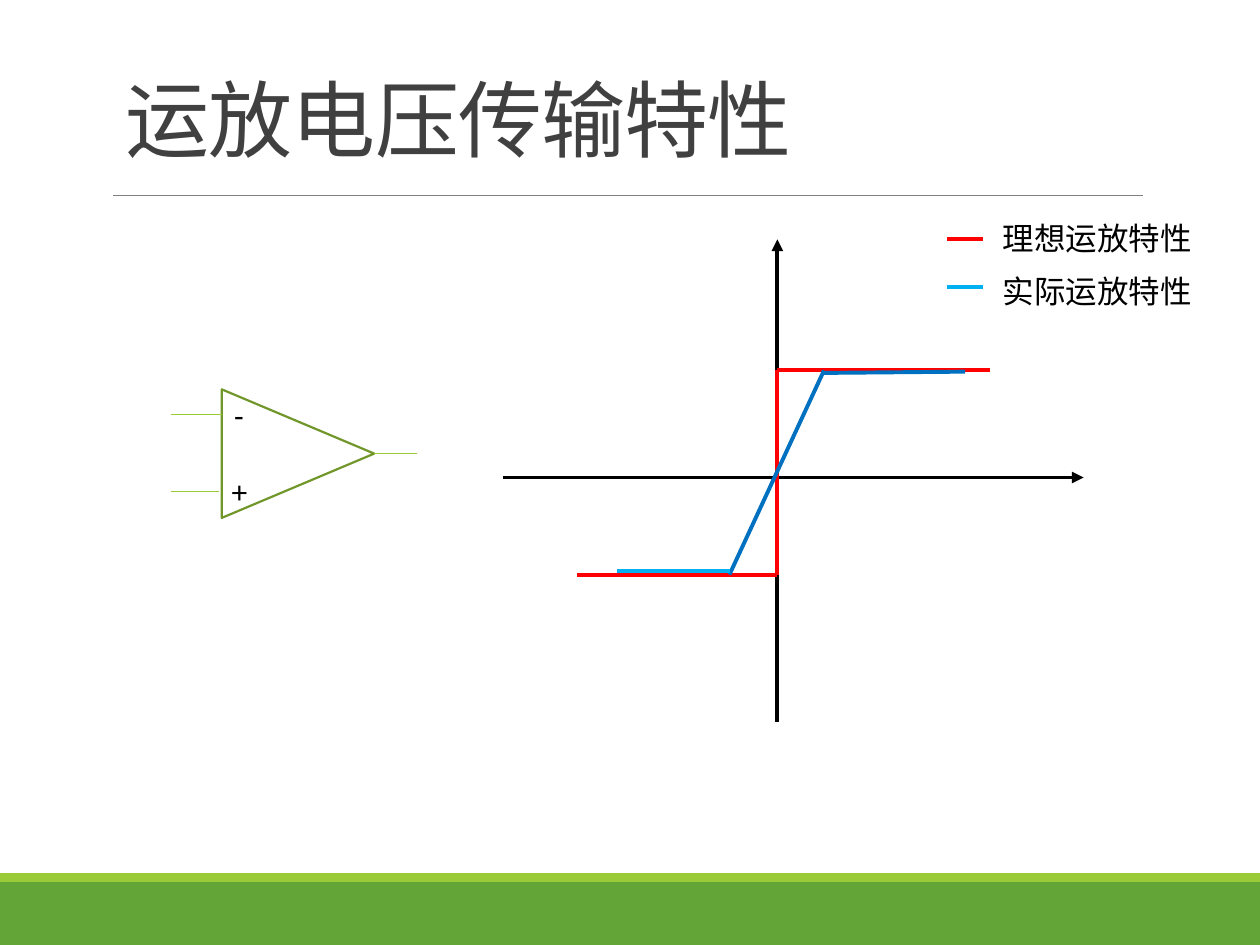
from lxml import etree
from pptx import Presentation
from pptx.dml.color import RGBColor
from pptx.enum import shapes, text
from pptx.oxml.ns import qn
from pptx.util import Inches, Pt

BLACK, RED, BLUE, SKY = "000000", "FF0000", "0070C0", "00B0F0"
GREEN, DARK_GREEN, LIME = "63A537", "719629", "99CB38"
LATIN, CHINESE = "Calibri", "Noto Sans CJK SC"


def color(value):
    return RGBColor.from_string(value)


def add_line(parts, start, end, line_color, width=2.25, arrow=False):
    ends = [Inches(value) for value in (*start, *end)]
    line = parts.add_connector(shapes.MSO_CONNECTOR.STRAIGHT, *ends)
    line.line.color.rgb = color(line_color)
    line.line.width = Pt(width)
    properties = line._element.spPr
    if arrow:
        outline = properties.find(qn("a:ln"))
        etree.SubElement(outline, qn("a:tailEnd"), type="triangle")
    etree.SubElement(properties, qn("a:effectLst"))


def add_shape(parts, kind, box, fill=None, outline=None):
    shape = parts.add_shape(kind, *[Inches(value) for value in box])
    shape.shadow.inherit = False
    if fill:
        shape.fill.solid()
        shape.fill.fore_color.rgb = color(fill)
    else:
        shape.fill.background()
    if outline:
        shape.line.color.rgb = color(outline)
        shape.line.width = Pt(1.25)
    else:
        shape.line.fill.background()
    return shape


def add_text(parts, box, words, size=18, font=LATIN, text_color=BLACK, wrap=False):
    frame = parts.add_textbox(*[Inches(value) for value in box]).text_frame
    frame.word_wrap = wrap
    span = frame.paragraphs[0].add_run()
    span.text = words
    for name, value in {"size": Pt(size), "name": font}.items():
        setattr(span.font, name, value)
    span.font.color.rgb = color(text_color)
    etree.SubElement(span._r.get_or_add_rPr(), qn("a:ea"), typeface=CHINESE)
    return frame


def draw_footer(parts, box):
    left, top, width, height = box
    strip = 0.07
    add_shape(parts, shapes.MSO_SHAPE.RECTANGLE,
              (left, top + strip, width, height - strip), GREEN)
    add_shape(parts, shapes.MSO_SHAPE.RECTANGLE, (left, top, width, strip), LIME)


def draw_title(parts, box):
    left, top, width, height = box
    add_line(parts, (left, top + 1.24), (left + 8.17, top + 1.24), "808080", 0.5)
    frame = add_text(parts, box, "运放电压传输特性", 48, CHINESE, "404040", True)
    frame.vertical_anchor = text.MSO_ANCHOR.BOTTOM
    para = frame.paragraphs[0]
    para.line_spacing = 0.85
    para.runs[0]._r.get_or_add_rPr().set("spc", "-50")


def draw_amplifier(parts, box):
    left, top, width, height = box
    lead = 0.4
    body_width = 1.21
    body_left = left + lead
    apex, middle = body_left + body_width, top + height / 2
    triangle = add_shape(
        parts, shapes.MSO_SHAPE.ISOSCELES_TRIANGLE,
        (body_left + (body_width - height) / 2, middle - body_width / 2,
         height, body_width), outline=DARK_GREEN)
    triangle.rotation = 90
    for sign, sign_width, offset, lead_end in (("-", 0.28, 0.2, 0.4), ("+", 0.33, 0.81, 0.38)):
        add_text(parts, (left + lead_end, top + offset - 0.2, sign_width, 0.4), sign)
        add_line(parts, (left + lead_end, top + offset), (left, top + offset), LIME, 1)
    add_line(parts, (apex, middle), (left + width, middle), LIME, 1)


def draw_transfer_curves(parts, box):
    left, top, width, height = box
    origin_x, origin_y = left + 2.18, top + 1.89
    high, low = top + 1.04, top + 2.66
    add_line(parts, (left, origin_y), (left + width, origin_y), BLACK, arrow=True)
    add_line(parts, (origin_x, top + height), (origin_x, top), BLACK, arrow=True)
    segments = (
        ((left + 0.59, low), (origin_x, low), RED),
        ((origin_x, high), (left + 3.87, high), RED),
        ((origin_x, high), (origin_x, low), RED),
        ((left + 2.55, high), (left + 1.8, low), BLUE),
        ((left + 2.53, high + 0.02), (left + 3.67, high + 0.01), BLUE),
        ((left + 1.8, low - 0.03), (left + 0.91, low - 0.03), SKY),
    )
    for segment in segments:
        add_line(parts, *segment)


def draw_legend(parts, box):
    left, top, width, height = box
    entries = (("理想运放特性", RED, 0.21), ("实际运放特性", SKY, 0.59))
    for row, (label, line_color, offset) in enumerate(entries):
        add_line(parts, (left, top + offset), (left + 0.28, top + offset), line_color)
        add_text(parts, (left + 0.34, top + row * (height - 0.4), width - 0.34, 0.4), label)


def main():
    deck = Presentation()
    deck.slide_width, deck.slide_height = Inches(10), Inches(7.5)
    page = deck.slides.add_slide(deck.slide_layouts[6])
    draw_footer(page.shapes, (0, 6.93, 10, 0.57))
    draw_title(page.shapes, (0.9, 0.31, 8.25, 1.08))
    amplifier = page.shapes.add_group_shape().shapes
    draw_amplifier(amplifier, (1.36, 3.09, 1.95, 1.02))
    graph = page.shapes.add_group_shape().shapes
    draw_transfer_curves(graph, (3.99, 1.9, 4.61, 3.83))
    draw_legend(graph, (7.52, 1.69, 2.06, 0.82))
    deck.save("out.pptx")


if __name__ == "__main__":
    main()
